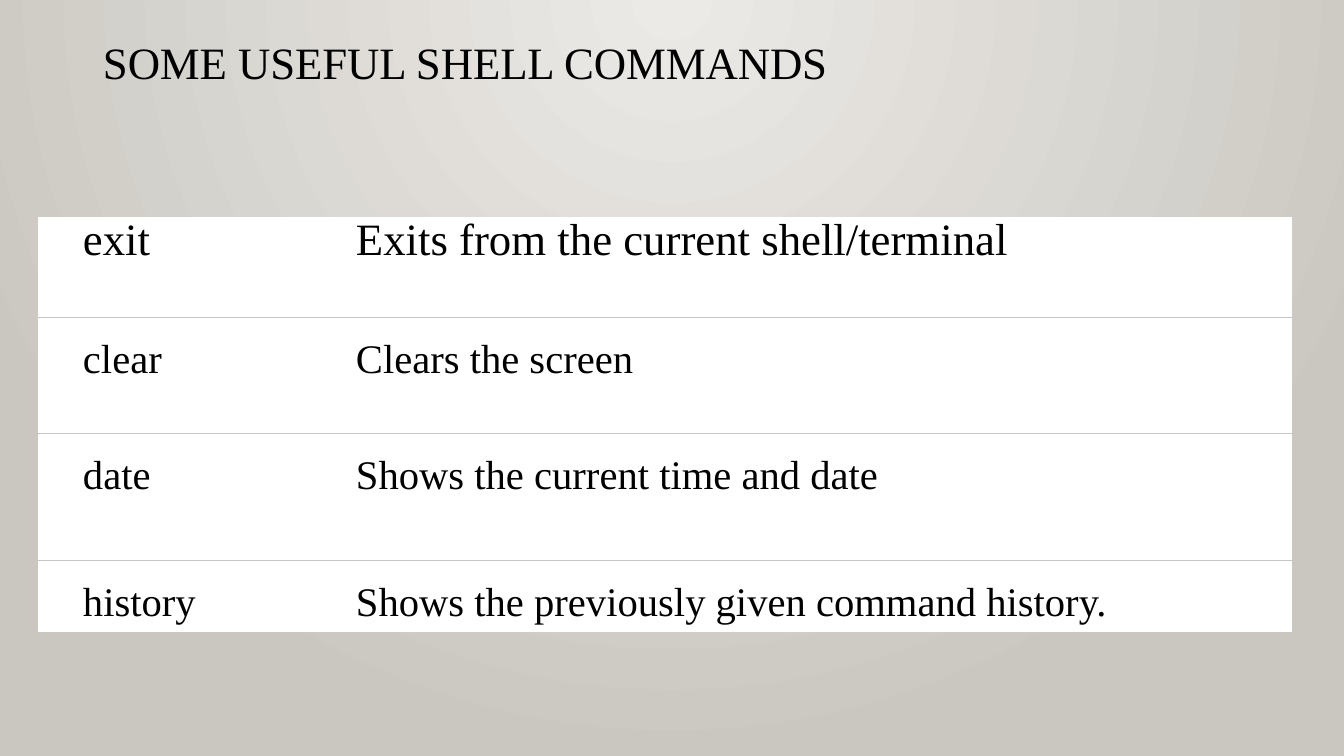
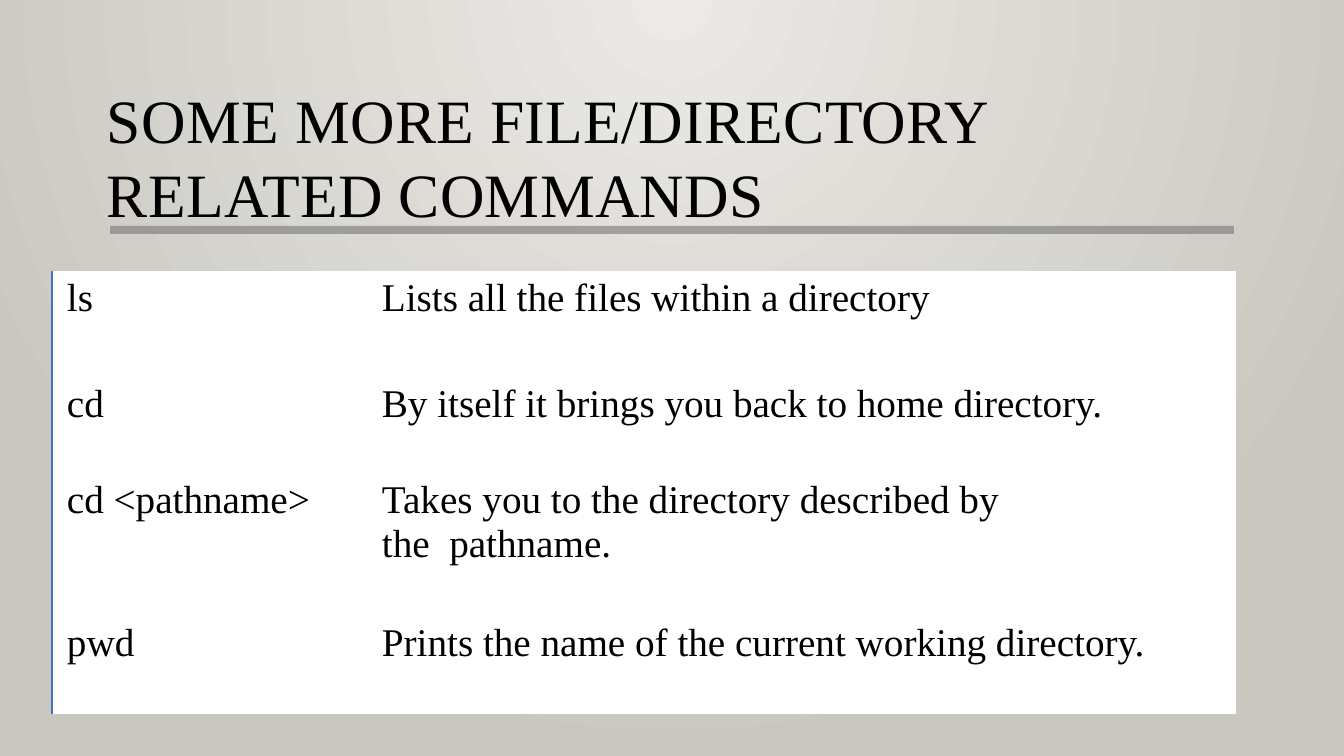
from dataclasses import dataclass

from lxml import etree
from pptx import Presentation
from pptx import util as u
from pptx.dml.color import RGBColor
from pptx.enum import shapes, text
from pptx.oxml.ns import qn

EMU_PER_PX = 914400 / 100.8
FONT = "Times New Roman"
PLAIN_TABLE_STYLE = "{2D5ABB26-0587-4C30-8999-92F81FD0307C}"
COLORS = {
    "glow": "ECEAE7",
    "backdrop": "CAC7C1",
    "ink": "000000",
    "panel": "FFFFFF",
    "row_rule": "C6C5C1",
    "side_rule": "4471C4",
    "bar": "7E7E7E",
}


@dataclass(frozen=True)
class Box:
    left: int
    top: int
    width: int
    height: int


@dataclass(frozen=True)
class Title:
    wording: str
    box: Box
    size: int
    tracking: float


@dataclass(frozen=True)
class Command:
    name: str
    meaning: str
    height: int
    inset: int
    size: int
    leading: float | None = None


@dataclass(frozen=True)
class CommandTable:
    left: int
    top: int
    widths: tuple[int, int]
    indents: tuple[int, int]
    commands: list[Command]
    row_rules: bool = False
    side_rule: bool = False


def px(length: int) -> u.Emu:
    return u.Emu(round(length * EMU_PER_PX))


def place(box: Box) -> tuple[u.Emu, ...]:
    return px(box.left), px(box.top), px(box.width), px(box.height)


def color(name: str) -> RGBColor:
    return RGBColor.from_string(COLORS[name])


def style(paragraph, size: int) -> None:
    paragraph.font.name = FONT
    paragraph.font.size = u.Pt(size)
    paragraph.font.color.rgb = color("ink")


# Shared backdrop, a glow from the top centre
def set_backdrop(master) -> None:
    fill = master.background.fill
    fill.gradient()
    for stop, name, position in zip(fill.gradient_stops, ("glow", "backdrop"), (0, 1)):
        stop.color.rgb = color(name)
        stop.position = position
    gradient = master.element.find(".//" + qn("a:gradFill"))
    gradient.remove(gradient.find(qn("a:lin")))
    circle = etree.SubElement(gradient, qn("a:path"), {"path": "circle"})
    etree.SubElement(circle, qn("a:fillToRect"),
                     {"l": "43000", "t": "0", "r": "43000", "b": "100000"})


def add_title(slide, title: Title) -> None:
    frame = slide.shapes.add_textbox(*place(title.box)).text_frame
    frame.word_wrap = True
    frame.vertical_anchor = text.MSO_ANCHOR.TOP
    frame.margin_left = px(1)
    frame.margin_top = px(2)
    frame.margin_right = frame.margin_bottom = 0
    heading = frame.paragraphs[0]
    heading.text = title.wording
    style(heading, title.size)
    for run in heading.runs:
        run.font._element.set("spc", str(round(title.tracking * 100)))


def add_bar(slide, box: Box) -> None:
    bar = slide.shapes.add_shape(shapes.MSO_SHAPE.RECTANGLE, *place(box))
    bar.shadow.inherit = False
    bar.line.fill.background()
    bar.fill.solid()
    bar.fill.fore_color.rgb = color("bar")
    tint = bar.fill._xPr.find(".//" + qn("a:srgbClr"))
    etree.SubElement(tint, qn("a:alpha"), {"val": "65000"})


def add_rule(cell, edge: str, name: str, points: float) -> None:
    rule = etree.Element(qn(f"a:ln{edge}"), {"w": str(u.Pt(points))})
    fill = etree.SubElement(rule, qn("a:solidFill"))
    etree.SubElement(fill, qn("a:srgbClr"), {"val": COLORS[name]})
    cell._tc.get_or_add_tcPr().insert(0, rule)


def add_commands(slide, spec: CommandTable) -> None:
    box = Box(spec.left, spec.top, sum(spec.widths),
              sum(command.height for command in spec.commands))
    table = slide.shapes.add_table(len(spec.commands), 2, *place(box)).table
    table.first_row = table.horz_banding = False
    table._tbl.find(".//" + qn("a:tableStyleId")).text = PLAIN_TABLE_STYLE
    for column, width in zip(table.columns, spec.widths):
        column.width = px(width)
    last = len(spec.commands) - 1
    for r, command in enumerate(spec.commands):
        table.rows[r].height = px(command.height)
        for c, wording in enumerate((command.name, command.meaning)):
            cell = table.cell(r, c)
            cell.fill.solid()
            cell.fill.fore_color.rgb = color("panel")
            cell.margin_left = px(spec.indents[c])
            cell.margin_top = px(command.inset)
            cell.margin_right = cell.margin_bottom = 0
            entry = cell.text_frame.paragraphs[0]
            entry.text = wording
            style(entry, command.size)
            if command.leading:
                entry.line_spacing = u.Pt(command.leading)
            # Bottom goes in before top, so that the edges end up in schema order
            if spec.row_rules and r < last:
                add_rule(cell, "B", "row_rule", 0.75)
            if spec.row_rules and r > 0:
                add_rule(cell, "T", "row_rule", 0.75)
            if spec.side_rule and c == 0:
                add_rule(cell, "L", "side_rule", 1)


SHELL_TITLE = Title("SOME USEFUL SHELL COMMANDS", Box(102, 33, 999, 55), 32, -0.1)
SHELL_COMMANDS = CommandTable(
    38, 217, (278, 976), (45, 40),
    [
        Command("exit", "Exits from the current shell/terminal", 100, 0, 32, 34.2),
        Command("clear", "Clears the screen", 116, 20, 29),
        Command("date", "Shows the current time and date", 127, 20, 29),
        Command("history", "Shows the previously given command history.", 72, 20, 29),
    ],
    row_rules=True,
)

FILE_TITLE = Title("SOME MORE FILE/DIRECTORY RELATED COMMANDS",
                   Box(106, 80, 1080, 151), 44, 0.25)
FILE_BAR = Box(110, 226, 1124, 8)
FILE_COMMANDS = CommandTable(
    52, 271, (292, 892), (15, 38),
    [
        Command("ls", "Lists all the files within a directory", 99, 6, 28),
        Command("cd", "By itself it brings you back to home directory.", 107, 13, 28),
        Command("cd <pathname>",
                "Takes you to the directory described by\vthe  pathname.", 143, 2, 28),
        Command("pwd", "Prints the name of the current working directory.", 94, 2, 28),
    ],
    side_rule=True,
)


def main() -> None:
    deck = Presentation()
    deck.slide_width, deck.slide_height = px(1344), px(756)
    set_backdrop(deck.slide_master)
    blank = deck.slide_layouts[6]

    # Useful commands
    shell = deck.slides.add_slide(blank)
    add_title(shell, SHELL_TITLE)
    add_commands(shell, SHELL_COMMANDS)

    # File and directory commands
    files = deck.slides.add_slide(blank)
    add_title(files, FILE_TITLE)
    add_bar(files, FILE_BAR)
    add_commands(files, FILE_COMMANDS)

    deck.save("out.pptx")


if __name__ == "__main__":
    main()
